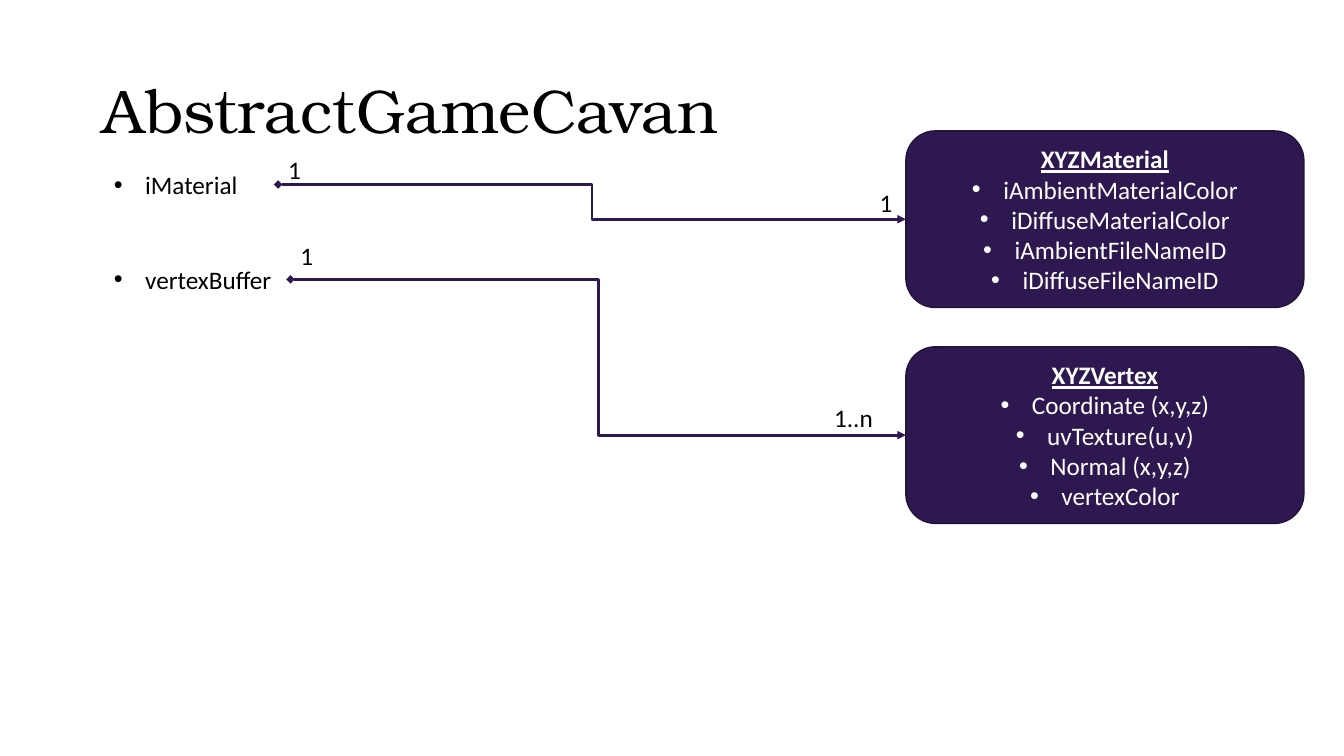
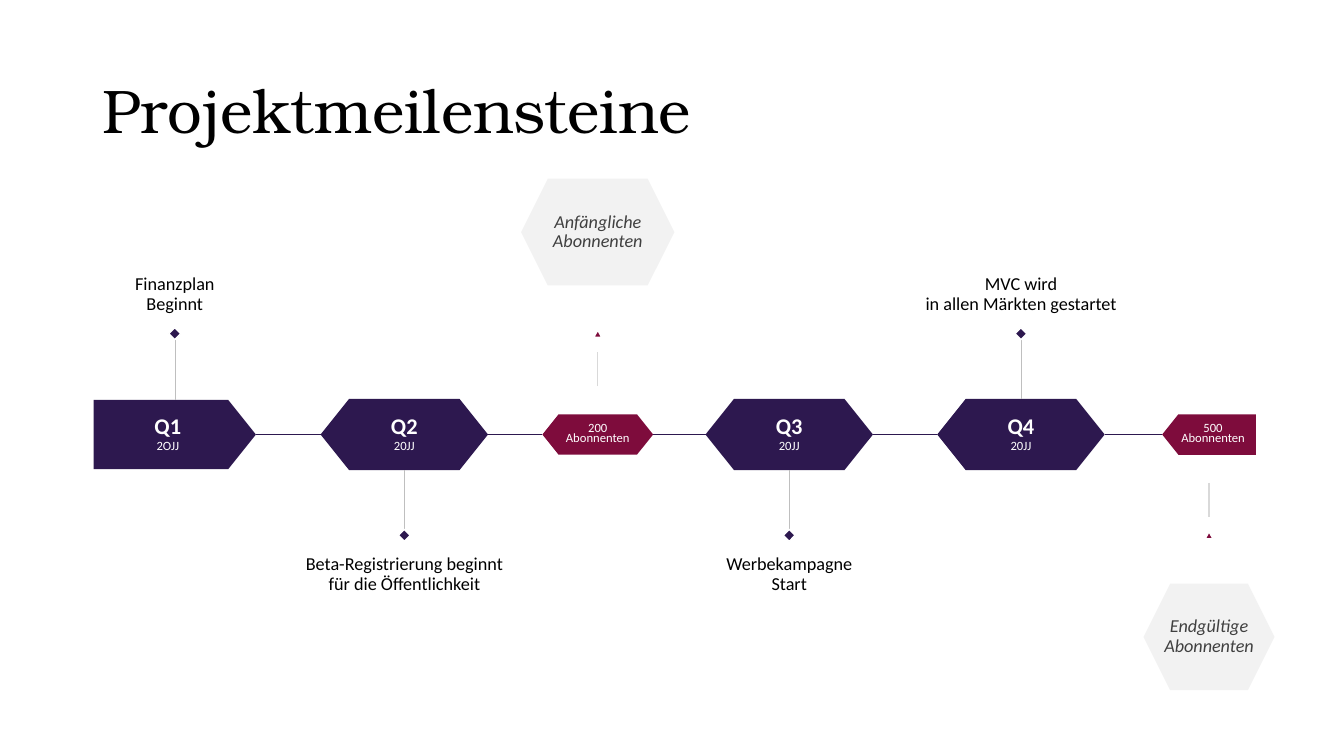
from dataclasses import dataclass
from itertools import pairwise

from lxml import etree
from pptx import Presentation
from pptx.dml.color import RGBColor
from pptx.enum.shapes import MSO_CONNECTOR, MSO_SHAPE
from pptx.enum.text import MSO_ANCHOR, PP_ALIGN
from pptx.oxml.ns import qn
from pptx.util import Cm, Pt

BENT, LINE = MSO_CONNECTOR.ELBOW, MSO_CONNECTOR.STRAIGHT
ROUND, PLATE = MSO_SHAPE.ROUNDED_RECTANGLE, MSO_SHAPE.PENTAGON
HEX, GEM, PEAK = MSO_SHAPE.HEXAGON, MSO_SHAPE.DIAMOND, MSO_SHAPE.ISOSCELES_TRIANGLE
TOP, MID, LOW = MSO_ANCHOR.TOP, MSO_ANCHOR.MIDDLE, MSO_ANCHOR.BOTTOM
LEFT, CENTER = PP_ALIGN.LEFT, PP_ALIGN.CENTER

SERIF, SANS = "TeX Gyre Bonum", "Calibri"
BLACK, WHITE, DARK = "000000", "FFFFFF", "404040"
PLUM, EDGE, WINE = "2D184F", "21123A", "7E0C3C"
PALE, GREY, MIST = "F2F2F2", "BFBFBF", "D9D9D9"
INDENT = 0.79
AXIS = 10.95
ABOVE, BELOW = -1, 1
BOX_X, BOX_W, BOX_H = 22.83, 10.03, 4.45
FIELD_X, ROW_H = 2.62, 1.02


@dataclass
class Link:
    """A field of the class, tied to the box of the class it holds."""
    field: str
    top: float
    width: float
    near_top: float
    far: str
    far_top: float
    far_width: float
    box_top: float
    head: str
    items: str


@dataclass
class Stop:
    """A step on the time line; a badge width marks a goal."""
    left: float
    width: float
    height: float
    head: str
    note: str
    side: int
    kind: MSO_SHAPE = HEX
    flip: bool = False
    badge: float = 0

    @property
    def mid(self) -> float:
        return self.left + self.width / 2


LINKS = [
    Link("iMaterial", 4.14, 4.39, 3.76, "1", 4.6, 0.91, 3.3, "XYZMaterial",
         "iAmbientMaterialColor\niDiffuseMaterialColor\n"
         "iAmbientFileNameID\niDiffuseFileNameID"),
    Link("vertexBuffer", 6.53, 4.7, 5.94, "1..n", 10.01, 2.06, 8.74, "XYZVertex",
         "Coordinate (x,y,z)\nuvTexture(u,v)\nNormal (x,y,z)\nvertexColor"),
]
STOPS = [
    Stop(2.36, 4.09, 1.75, "Q1\n2OJJ", "Finanzplan\nBeginnt", ABOVE, PLATE),
    Stop(8.08, 4.22, 1.8, "Q2\n20JJ",
         "Beta-Registrierung beginnt\nfür die Öffentlichkeit", BELOW),
    Stop(13.67, 2.79, 1.02, "200\nAbonnenten", "Anfängliche\nAbonnenten", ABOVE,
         badge=3.86),
    Stop(17.78, 4.22, 1.8, "Q3\n20JJ", "Werbekampagne\nStart", BELOW),
    Stop(23.62, 4.22, 1.8, "Q4\n20JJ", "MVC wird\nin allen Märkten gestartet", ABOVE),
    Stop(29.29, 2.36, 1.02, "500\nAbonnenten", "Endgültige\nAbonnenten", BELOW,
         PLATE, True, 3.3),
]


def rgb(code: str) -> RGBColor:
    return RGBColor.from_string(code)


def write(frame, text: str, *, size=18, color=BLACK, font=SANS, bold=False,
          ital=False, under=False, align=LEFT, space=1.0, dots=False) -> None:
    """Add each line of the text as a paragraph."""
    for line in text.split("\n"):
        last = frame.paragraphs[-1]
        para = frame.add_paragraph() if last.runs else last
        para.alignment, para.line_spacing = align, space
        if dots:
            props = para._p.get_or_add_pPr()
            props.set("marL", str(Cm(INDENT)))
            props.set("indent", str(-Cm(INDENT)))
            etree.SubElement(props, qn("a:buFont")).set("typeface", "Arial")
            etree.SubElement(props, qn("a:buChar")).set("char", "•")
        run = para.add_run()
        run.text = line
        face = run.font
        face.name, face.size, face.color.rgb = font, Pt(size), rgb(color)
        face.bold, face.italic, face.underline = bold, ital, under


def pad(frame, side: float, ends: float) -> None:
    frame.margin_left = frame.margin_right = Cm(side)
    frame.margin_top = frame.margin_bottom = Cm(ends)


def label(slide, text: str, x: float, y: float, w: float, h: float,
          anchor=TOP, **style):
    box = slide.shapes.add_textbox(Cm(x), Cm(y), Cm(w), Cm(h))
    box.text_frame.word_wrap = True
    box.text_frame.vertical_anchor = anchor
    write(box.text_frame, text, **style)
    return box


def draw(slide, kind, x: float, y: float, w: float, h: float, fill: str, edge=None):
    shape = slide.shapes.add_shape(kind, Cm(x), Cm(y), Cm(w), Cm(h))
    shape.shadow.inherit = False
    shape.fill.solid()
    shape.fill.fore_color.rgb = rgb(fill)
    if edge:
        shape.line.color.rgb, shape.line.width = rgb(edge), Pt(1)
    else:
        shape.line.fill.background()
    shape.text_frame.vertical_anchor = MID
    return shape


def join(slide, start: tuple, end: tuple, color: str, width: float, kind=LINE):
    line = slide.shapes.add_connector(kind, *map(Cm, start + end))
    line.line.color.rgb, line.line.width = rgb(color), Pt(width)
    etree.SubElement(line._element.spPr, qn("a:effectLst"))
    return line


def page(deck, title: str):
    slide = deck.slides.add_slide(deck.slide_layouts[6])
    label(slide, title, 2.34, 1.02, 29.21, 3.68, MID, size=44, font=SERIF, space=0.9)
    return slide


def relate(slide, link: Link) -> None:
    """Draw a field, its box and the arrow with both counts."""
    field = label(slide, link.field, FIELD_X, link.top, link.width, ROW_H, dots=True)
    box = draw(slide, ROUND, BOX_X, link.box_top, BOX_W, BOX_H, PLUM, EDGE)
    write(box.text_frame, link.head, color=WHITE, bold=True, under=True, align=CENTER)
    write(box.text_frame, link.items, color=WHITE, align=CENTER, dots=True)

    start = FIELD_X + link.width
    arrow = join(slide, (start, link.top + ROW_H / 2),
                 (BOX_X, link.box_top + BOX_H / 2), PLUM, 2, BENT)
    arrow.begin_connect(field, 3)
    arrow.end_connect(box, 1)
    ends = arrow.line._get_or_add_ln()
    etree.SubElement(ends, qn("a:headEnd")).set("type", "diamond")
    etree.SubElement(ends, qn("a:tailEnd")).set("type", "triangle")

    label(slide, "1", start, link.near_top, 0.91, ROW_H)
    label(slide, link.far, BOX_X - link.far_width, link.far_top, link.far_width, ROW_H)


def mark(slide, stop: Stop) -> None:
    """Draw a step with its stem, tip and note."""
    goal = stop.badge > 0
    shape = draw(slide, stop.kind, stop.left, AXIS - stop.height / 2,
                 stop.width, stop.height, WINE if goal else PLUM)
    shape.adjustments[0] = 0.4
    if stop.flip:
        shape._element.spPr.find(qn("a:xfrm")).set("flipH", "1")
    frame = shape.text_frame
    frame.word_wrap = False
    pad(frame, 0, 0)
    style = dict(color=WHITE, align=CENTER)
    if goal:
        write(frame, stop.head, size=9, space=0.65, **style)
    else:
        name, year = stop.head.split("\n")
        write(frame, name, size=16, bold=True, space=0.9, **style)
        write(frame, year, size=9, space=0.9, **style)

    near, far = (1.22, 2.07) if goal else (stop.height / 2, 2.39)
    join(slide, (stop.mid, AXIS + stop.side * near), (stop.mid, AXIS + stop.side * far),
         MIST if goal else GREY, 1 if goal else 0.25)
    kind, wide, high, fill = (PEAK, 0.2, 0.18, WINE) if goal else (GEM, 0.3, 0.3, PLUM)
    draw(slide, kind, stop.mid - wide / 2, AXIS + stop.side * 2.54 - high / 2,
         wide, high, fill, WHITE)

    style = dict(size=13, align=CENTER, space=0.9)
    if goal:
        high = 2.69
        badge = draw(slide, HEX, stop.mid - stop.badge / 2,
                     AXIS + stop.side * 5.1 - high / 2, stop.badge, high, PALE)
        badge.text_frame.word_wrap = False
        pad(badge.text_frame, 0, 0)
        write(badge.text_frame, stop.note, color=DARK, ital=True, **style)
    else:
        wide, high = 5.84, 4.7
        top = AXIS + 2.7 if stop.side == BELOW else AXIS - 2.7 - high
        note = label(slide, stop.note, stop.mid - wide / 2, top, wide, high,
                     TOP if stop.side == BELOW else LOW, **style)
        pad(note.text_frame, 0, 0.33)


def main() -> None:
    deck = Presentation()
    deck.slide_width, deck.slide_height = Cm(33.87), Cm(19.05)

    slide = page(deck, "AbstractGameCavan")
    for link in LINKS:
        relate(slide, link)

    slide = page(deck, "Projektmeilensteine")
    for prev, stop in pairwise(STOPS):
        join(slide, (prev.left + prev.width, AXIS), (stop.left, AXIS), PLUM, 1)
    for stop in STOPS:
        mark(slide, stop)

    deck.save("out.pptx")


if __name__ == "__main__":
    main()
